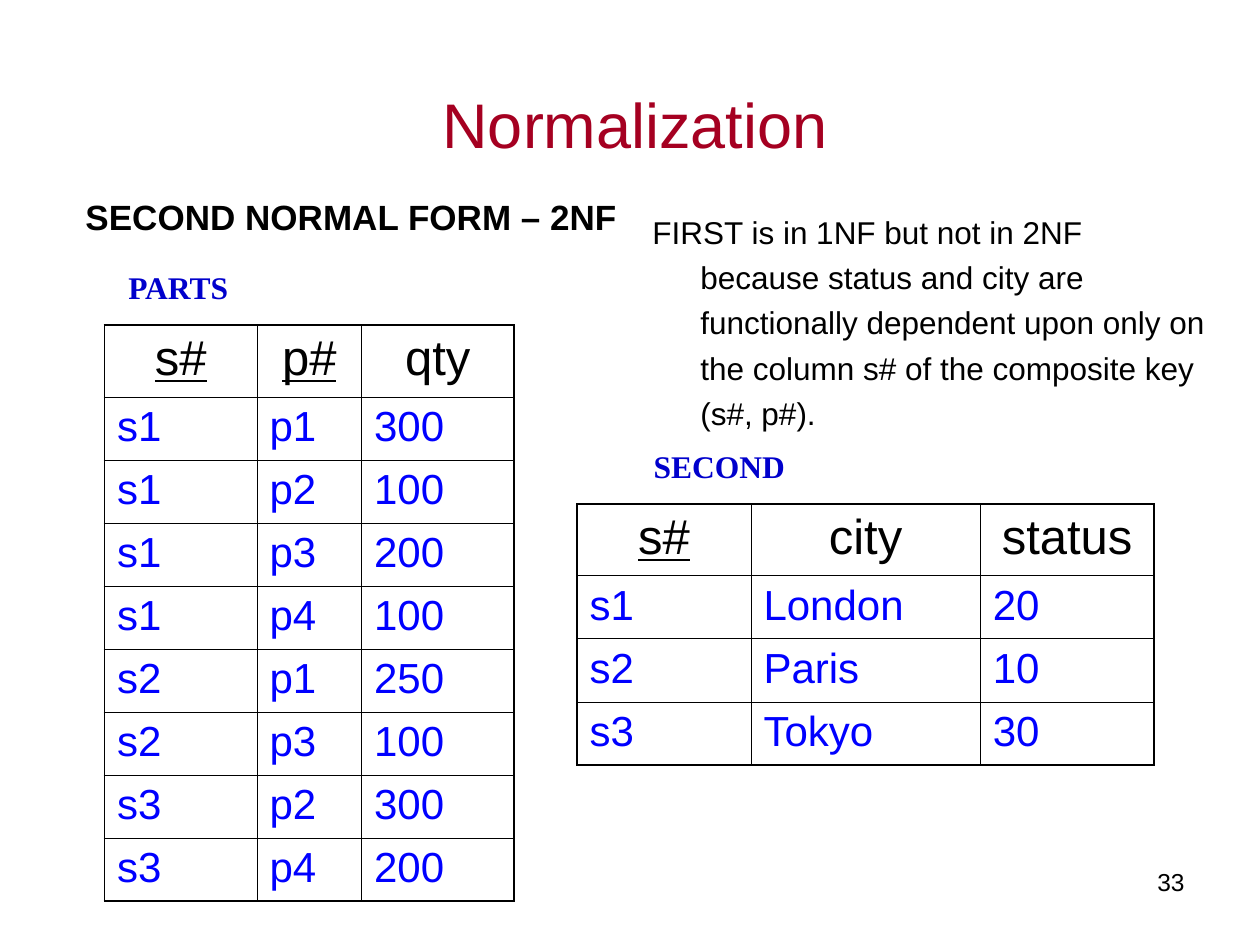
from lxml import etree
from pptx import Presentation
from pptx.dml.color import RGBColor
from pptx.enum import text as t
from pptx.oxml import ns
from pptx.util import Inches, Pt

BLACK, RED, BLUE, NAVY = "000000", "A50021", "0000FF", "0000CC"
LEFT, MID, RIGHT = t.PP_ALIGN.LEFT, t.PP_ALIGN.CENTER, t.PP_ALIGN.RIGHT
THIN, THICK = 0.45, 1.08


def color(code):
    return RGBColor.from_string(code)


def write(frame, words, size=18, face="Arial", ink=BLACK, bold=False,
          under=False, align=LEFT, space=None, hang=0):
    para = frame.paragraphs[0]
    para.alignment = align
    if space:
        para.line_spacing = space
    if hang:
        props = para._p.get_or_add_pPr()
        props.set("marL", str(Inches(hang)))
        props.set("indent", str(-Inches(hang)))
    run = para.add_run()
    run.text = words
    font = run.font
    font.name, font.size = face, Pt(size)
    font.bold, font.underline = bold, under
    font.color.rgb = color(ink)


def add_text(slide, box, words, wrap=True, grow=False,
             anchor=t.MSO_ANCHOR.TOP, **style):
    frame = slide.shapes.add_textbox(*map(Inches, box)).text_frame
    frame.word_wrap = wrap
    frame.vertical_anchor = anchor
    if grow:
        frame.auto_size = t.MSO_AUTO_SIZE.SHAPE_TO_FIT_TEXT
    write(frame, words, **style)


def add_label(slide, box, words, **style):
    add_text(slide, box, words, wrap=False, grow=True, bold=True, **style)


def set_edges(cell, edges):
    props = cell._tc.get_or_add_tcPr()
    for spot, (side, width) in enumerate(edges.items()):
        line = etree.Element(ns.qn("a:ln" + side), w=str(Pt(width)))
        fill = etree.SubElement(line, ns.qn("a:solidFill"))
        etree.SubElement(fill, ns.qn("a:srgbClr"), val=BLACK)
        props.insert(spot, line)


def add_grid(slide, left, top, widths, heads, keys, rows):
    data = [heads] + rows
    highs = [0.57] + [0.5] * len(rows)
    box = map(Inches, (left, top, sum(widths), sum(highs)))
    grid = slide.shapes.add_table(len(data), len(heads), *box).table
    grid.first_row = grid.horz_banding = False
    for col, width in zip(grid.columns, widths):
        col.width = Inches(width)
    for row, high in zip(grid.rows, highs):
        row.height = Inches(high)
    for r, line in enumerate(data):
        for c, words in enumerate(line):
            cell = grid.cell(r, c)
            cell.fill.background()
            if r == 0:
                write(cell.text_frame, words, size=28, align=MID,
                      under=words in keys)
            else:
                write(cell.text_frame, words, size=24, ink=BLUE)
            outer = {"L": c == 0, "R": c == len(heads) - 1,
                     "T": r == 0, "B": r == len(rows)}
            set_edges(cell, {side: THICK if out else THIN
                             for side, out in outer.items()})


def main():
    deck = Presentation()
    deck.slide_width, deck.slide_height = Inches(10), Inches(7.5)
    slide = deck.slides.add_slide(deck.slide_layouts[6])

    add_text(slide, (7.17, 6.83, 2.33, 0.52), "33", size=14, align=RIGHT)
    add_text(slide, (1, 0.5, 8.08, 0.83), "Normalization", size=36, ink=RED,
             align=MID, anchor=t.MSO_ANCHOR.BOTTOM)
    add_label(slide, (0.58, 1.5, 4.42, 0.44), "SECOND NORMAL FORM – 2NF",
              size=20)

    add_grid(slide, 4.58, 4, (1.38, 1.82, 1.38),
             ("s#", "city", "status"), {"s#"},
             [("s1", "London", "20"), ("s2", "Paris", "10"),
              ("s3", "Tokyo", "30")])
    add_grid(slide, 0.83, 2.58, (1.21, 0.83, 1.21),
             ("s#", "p#", "qty"), {"s#", "p#"},
             [("s1", "p1", "300"), ("s1", "p2", "100"),
              ("s1", "p3", "200"), ("s1", "p4", "100"),
              ("s2", "p1", "250"), ("s2", "p3", "100"),
              ("s3", "p2", "300"), ("s3", "p4", "200")])

    for box, name in (((0.92, 2.08, 1.02, 0.4), "PARTS"),
                      ((5.09, 3.5, 1.24, 0.4), "SECOND")):
        add_label(slide, box, name, face="Times New Roman", ink=NAVY)
    add_text(slide, (5.08, 1.58, 4.58, 1.9),
             "FIRST is in 1NF but not in 2NF because status and city are "
             "functionally dependent upon only on the column s# of the "
             "composite key (s#, p#).", grow=True, space=1.2, hang=0.38)

    deck.save("out.pptx")


if __name__ == "__main__":
    main()
